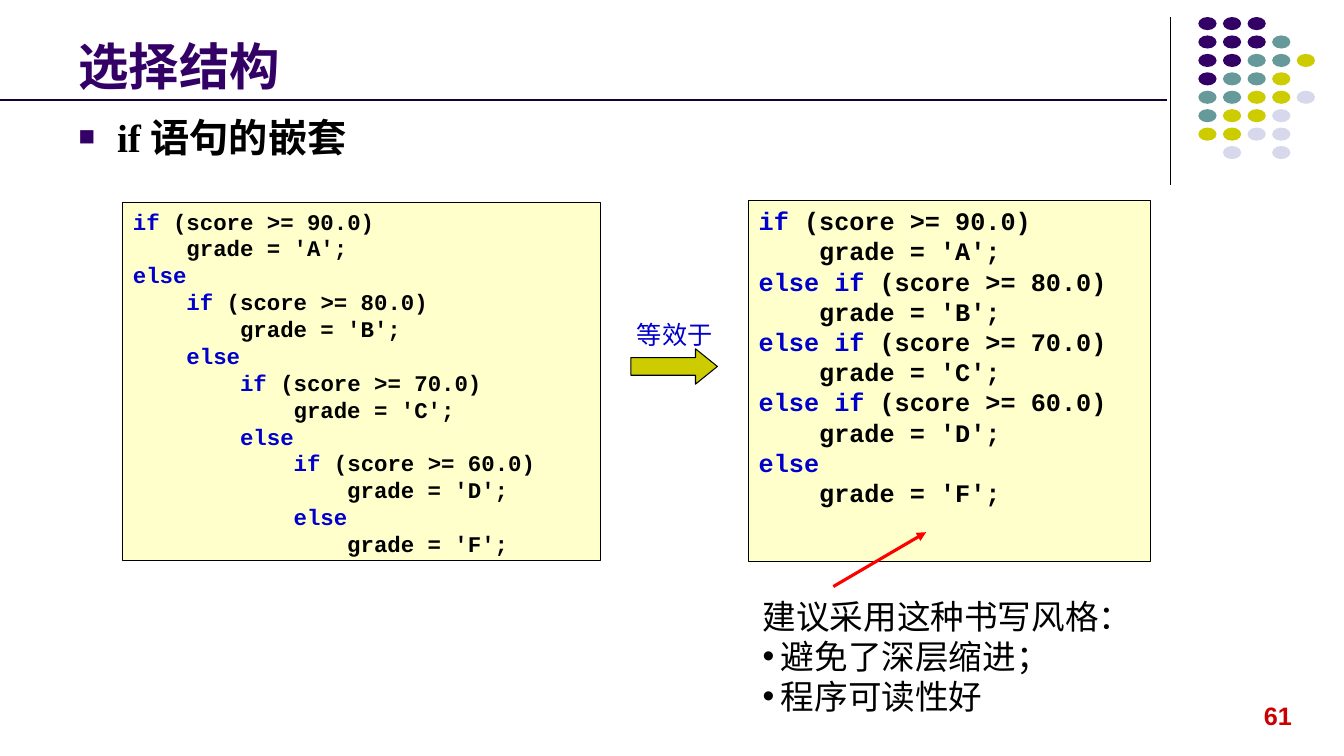
from lxml import etree
from pptx import Presentation
from pptx.dml.color import RGBColor
from pptx.enum.shapes import MSO_CONNECTOR, MSO_SHAPE
from pptx.enum.text import MSO_ANCHOR, PP_ALIGN
from pptx.oxml.ns import qn
from pptx.util import Cm, Pt

STRAIGHT = MSO_CONNECTOR.STRAIGHT
RECT, OVAL, ARROW = MSO_SHAPE.RECTANGLE, MSO_SHAPE.OVAL, MSO_SHAPE.RIGHT_ARROW
TOP, BOTTOM = MSO_ANCHOR.TOP, MSO_ANCHOR.BOTTOM
LEFT = PP_ALIGN.LEFT

COLORS = {
    "purple": "330066", "teal": "669999", "olive": "CCCC00", "lavender": "D8D8EC",
    "black": "000000", "blue": "0000CC", "cream": "FFFFCC", "red": "FF0000",
    "page": "CC0000", "rule": "190033",
}
DOT_COLORS = {"P": "purple", "T": "teal", "O": "olive", "L": "lavender"}
DOT_ROWS = ["PPP", "PPPT", "PPTTO", "PTTO", "TTOOL", "TOOL", "OOLL", " L L"]

NESTED_CODE = """\
if (score >= 90.0)
    grade = 'A';
else
    if (score >= 80.0)
        grade = 'B';
    else
        if (score >= 70.0)
            grade = 'C';
        else
            if (score >= 60.0)
                grade = 'D';
            else
                grade = 'F';"""
CHAINED_CODE = """\
if (score >= 90.0)
    grade = 'A';
else if (score >= 80.0)
    grade = 'B';
else if (score >= 70.0)
    grade = 'C';
else if (score >= 60.0)
    grade = 'D';
else
    grade = 'F';"""


def rgb(name):
    return RGBColor.from_string(COLORS[name])


def highlight(line):
    """Split a code line into (text, colour) pieces."""
    if not line.lstrip().startswith(("if", "else")):
        return [(line, "black")]
    keyword, paren, rest = line.partition("(")
    return [(keyword, "blue")] + ([(paren + rest, "black")] if paren else [])


class SlideBuilder:
    def __init__(self, slide):
        self.slide = slide

    def line(self, start, end, color, width, arrow=False):
        ln = self.slide.shapes.add_connector(STRAIGHT, *map(Cm, start + end))
        ln.line.color.rgb = rgb(color)
        ln.line.width = Pt(width)
        spPr = ln._element.spPr
        if arrow:
            tail = etree.SubElement(spPr.find(qn("a:ln")), qn("a:tailEnd"))
            tail.set("type", "triangle")
        etree.SubElement(spPr, qn("a:effectLst"))

    def shape(self, kind, box, fill, outline=None):
        sp = self.slide.shapes.add_shape(kind, *map(Cm, box))
        sp.shadow.inherit = False
        sp.fill.solid()
        sp.fill.fore_color.rgb = rgb(fill)
        if outline:
            sp.line.color.rgb = rgb(outline)
            sp.line.width = Pt(0.75)
        else:
            sp.line.fill.background()
        return sp

    def add_runs(self, p, pieces, **font):
        for text, color in pieces:
            r = p.add_run()
            r.text = text
            r.font.color.rgb = rgb(color)
            for name, value in font.items():
                setattr(r.font, name, value)

    def bullet(self, p, char, indent, color, percent):
        pPr = p._p.get_or_add_pPr()
        pPr.set("marL", str(Cm(indent)))
        pPr.set("indent", str(-Cm(indent)))
        clr = etree.SubElement(pPr, qn("a:buClr"))
        etree.SubElement(clr, qn("a:srgbClr")).set("val", COLORS[color])
        etree.SubElement(pPr, qn("a:buSzPct")).set("val", str(percent * 1000))
        etree.SubElement(pPr, qn("a:buFont")).set("typeface", "Arial")
        etree.SubElement(pPr, qn("a:buChar")).set("char", char)

    def text(self, box, lines, color, bullet=None, wrap=True, anchor=TOP, **font):
        """Text box; lines that start with the bullet's character are bulleted."""
        tf = self.slide.shapes.add_textbox(*map(Cm, box)).text_frame
        tf.word_wrap, tf.vertical_anchor = wrap, anchor
        for i, line in enumerate(lines):
            p = tf.add_paragraph() if i else tf.paragraphs[0]
            if bullet and line.startswith(bullet[0]):
                self.bullet(p, *bullet)
                line = line[1:]
            self.add_runs(p, [(line, color)], **font)

    def code(self, box, source, size):
        tf = self.shape(RECT, box, "cream", "black").text_frame
        tf.word_wrap, tf.vertical_anchor = True, TOP
        for i, line in enumerate(source.splitlines()):
            p = tf.add_paragraph() if i else tf.paragraphs[0]
            p.alignment = LEFT
            self.add_runs(p, highlight(line), name="Courier New", size=Pt(size), bold=True)

    def dots(self, left, top, x_step, y_step):
        for row, marks in enumerate(DOT_ROWS):
            for col, mark in enumerate(marks):
                if mark in DOT_COLORS:
                    box = (left + col * x_step, top + row * y_step, 0.46, 0.33)
                    self.shape(OVAL, box, DOT_COLORS[mark])


def main():
    prs = Presentation()
    prs.slide_width, prs.slide_height = Cm(33.87), Cm(19.05)
    s = SlideBuilder(prs.slides.add_slide(prs.slide_layouts[6]))

    s.line((29.49, 0.43), (29.49, 4.65), "black", 0.75)
    s.dots(30.2, 0.43, 0.62, 3.25 / 7)
    s.text((31.6, 17.53, 1.3, 1.02), ["61"], "page", wrap=False,
           name="Arial", size=Pt(18), bold=True)

    s.text((1.73, 2.72, 27, 1.6), ["■if 语句的嵌套"], "black",
           bullet=("■", 0.97, "purple", 70),
           name="Times New Roman", size=Pt(28), bold=True)
    s.code((3.1, 5.11, 12.04, 9.02), NESTED_CODE, 16)
    s.code((18.87, 5.05, 10.13, 9.09), CHAINED_CODE, 18)

    s.text((15.8, 7.92, 2.41, 1.02), ["等效于"], "blue", wrap=False,
           name="Arial", size=Pt(18))
    arrow = s.shape(ARROW, (15.9, 8.79, 2.18, 0.89), "olive", "black")
    arrow.adjustments[0], arrow.adjustments[1] = 0.5, 0.62

    s.text((18.97, 14.88, 10.03, 3.33),
           ["建议采用这种书写风格：", "•避免了深层缩进；", "•程序可读性好"], "black",
           bullet=("•", 0.46, "black", 100), name="Times New Roman", size=Pt(24))
    s.line((21, 14.78), (23.34, 13.41), "red", 2.25, arrow=True)

    s.text((1.73, 0.53, 27.94, 2.01), ["选择结构"], "purple", anchor=BOTTOM,
           name="Arial", size=Pt(36), bold=True)
    s.line((0, 2.51), (29.41, 2.51), "rule", 1.5)
    prs.save("out.pptx")


if __name__ == "__main__":
    main()
